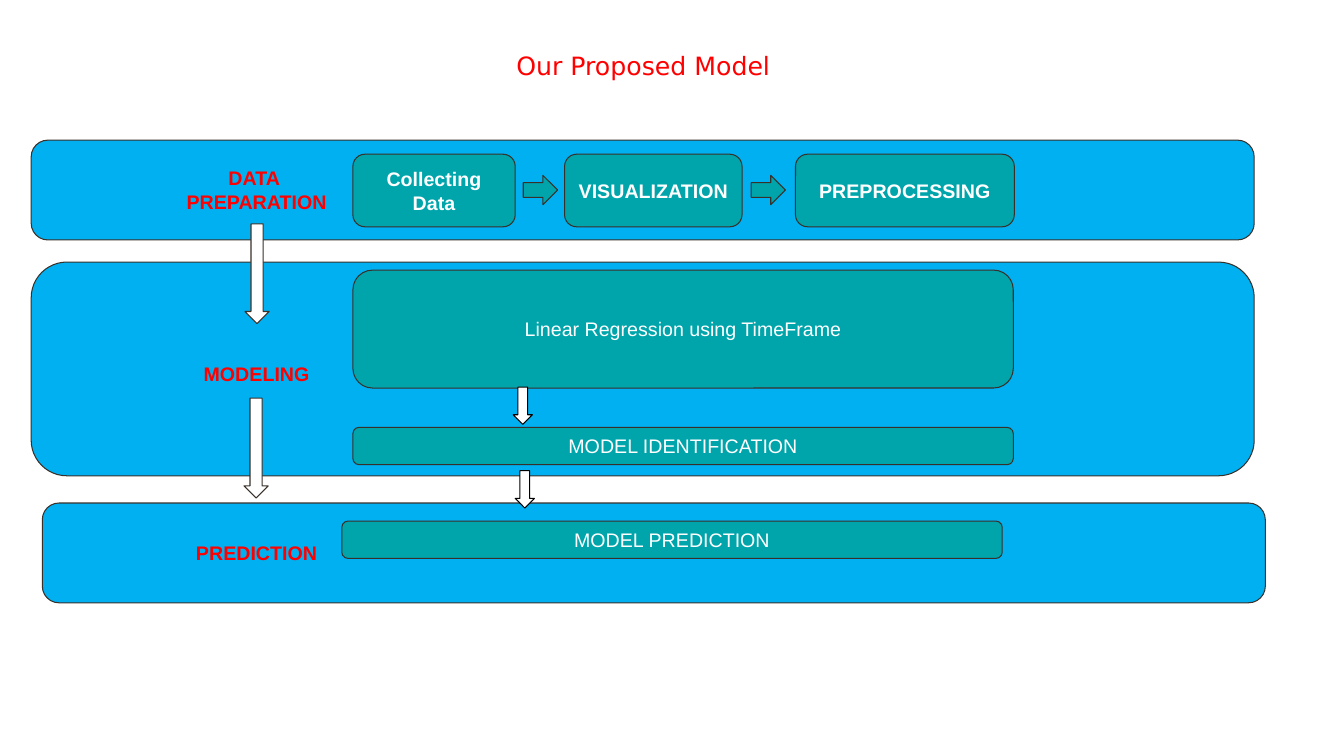
from pptx import Presentation
from pptx.dml.color import RGBColor
from pptx.enum.shapes import MSO_SHAPE as Shape
from pptx.enum.text import MSO_ANCHOR as Anchor, MSO_AUTO_SIZE as AutoSize, PP_ALIGN as Align
from pptx.util import Pt

PX = 9144  # EMU per px, 100 px to the inch
COLORS = {
    "band": "00B0F0",
    "step": "00A5AB",
    "outline": "39302A",
    "black": "000000",
    "white": "FFFFFF",
    "red": "FF0000",
}
STEP_HEIGHT, BAR_WIDTH, BAR_HEIGHT = 72, 655, 37


def rgb(name):
    return RGBColor.from_string(COLORS[name])


def emu(*lengths):
    return [length * PX for length in lengths]


def write(shape, text, color="white", size=14, font="Arial", bold=False,
          anchor=Anchor.MIDDLE, inset=10):
    """Fill a shape with centred text, one paragraph per line."""
    frame = shape.text_frame
    frame.word_wrap = True
    frame.auto_size = AutoSize.NONE
    frame.vertical_anchor = anchor
    frame.margin_left = frame.margin_right = 10 * PX
    frame.margin_top = frame.margin_bottom = inset * PX
    for index, line in enumerate(text.split("\n")):
        paragraph = frame.paragraphs[0] if index == 0 else frame.add_paragraph()
        paragraph.alignment = Align.CENTER
        run = paragraph.add_run()
        run.text = line
        run.font.name = font
        run.font.size = Pt(size)
        run.font.bold = bold
        run.font.color.rgb = rgb(color)


def add_block(slide, kind, box, fill, line="outline"):
    shape = slide.shapes.add_shape(kind, *emu(*box))
    shape.shadow.inherit = False
    shape.fill.solid()
    shape.fill.fore_color.rgb = rgb(fill)
    shape.line.color.rgb = rgb(line)
    shape.line.width = Pt(0.75)
    return shape


def add_band(slide, left, top, height):
    add_block(slide, Shape.ROUNDED_RECTANGLE, (left, top, 1213, height), "band")


def add_step(slide, text, box, bold=False):
    step = add_block(slide, Shape.ROUNDED_RECTANGLE, box, "step")
    write(step, text, bold=bold)


def add_stage_label(slide, text, top, height):
    label = slide.shapes.add_textbox(*emu(174, top, 161, height))
    write(label, text, color="red", bold=True, anchor=Anchor.TOP)


def add_title(slide, text):
    title = slide.shapes.title
    title.left, title.top, title.width, title.height = emu(138, 45, 1000, 40)
    write(title, text, color="red", size=18, font="DejaVu Sans",
          anchor=Anchor.TOP, inset=5)


def main():
    presentation = Presentation()
    presentation.slide_width, presentation.slide_height = emu(1333, 750)
    slide = presentation.slides.add_slide(presentation.slide_layouts[5])
    add_title(slide, "Our Proposed Model")

    # Bands of the three stages
    for left, top, height in [(31, 139, 99), (31, 260, 212), (42, 499, 99)]:
        add_band(slide, left, top, height)

    # Stage names
    add_stage_label(slide, "DATA \nPREPARATION", 155, 67)
    add_stage_label(slide, "MODELING", 349, 44)
    add_stage_label(slide, "PREDICTION", 527, 44)

    # Data preparation steps
    for text, left, width in [("Collecting Data", 350, 161),
                              ("VISUALIZATION", 560, 176),
                              ("PREPROCESSING", 789, 217)]:
        add_step(slide, text, (left, 153, width, STEP_HEIGHT), bold=True)
    for left in (519, 745):
        add_block(slide, Shape.RIGHT_ARROW, (left, 174, 34, 29), "step")

    # Modeling and prediction steps
    for text, left, top, height in [
            ("Linear Regression using TimeFrame", 350, 268, 117),
            ("MODEL IDENTIFICATION", 350, 424, BAR_HEIGHT),
            ("MODEL PREDICTION", 339, 517, BAR_HEIGHT)]:
        add_step(slide, text, (left, top, BAR_WIDTH, height))

    # Arrows between stages, then between steps
    for left, top in [(243, 222), (242, 395)]:
        add_block(slide, Shape.DOWN_ARROW, (left, top, 24, 99), "white")
    for left, top in [(509, 384), (511, 467)]:
        add_block(slide, Shape.DOWN_ARROW, (left, top, 19, 37), "white", line="black")

    presentation.save("out.pptx")


if __name__ == "__main__":
    main()
